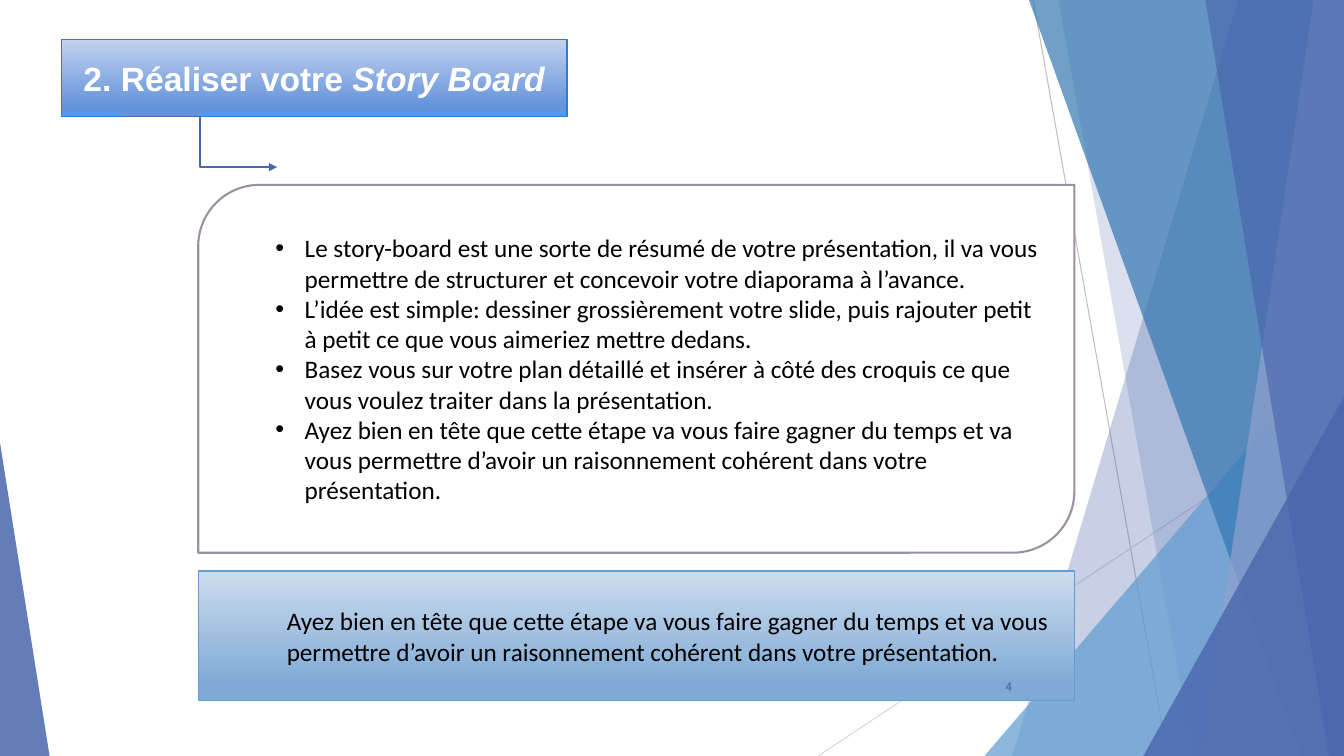
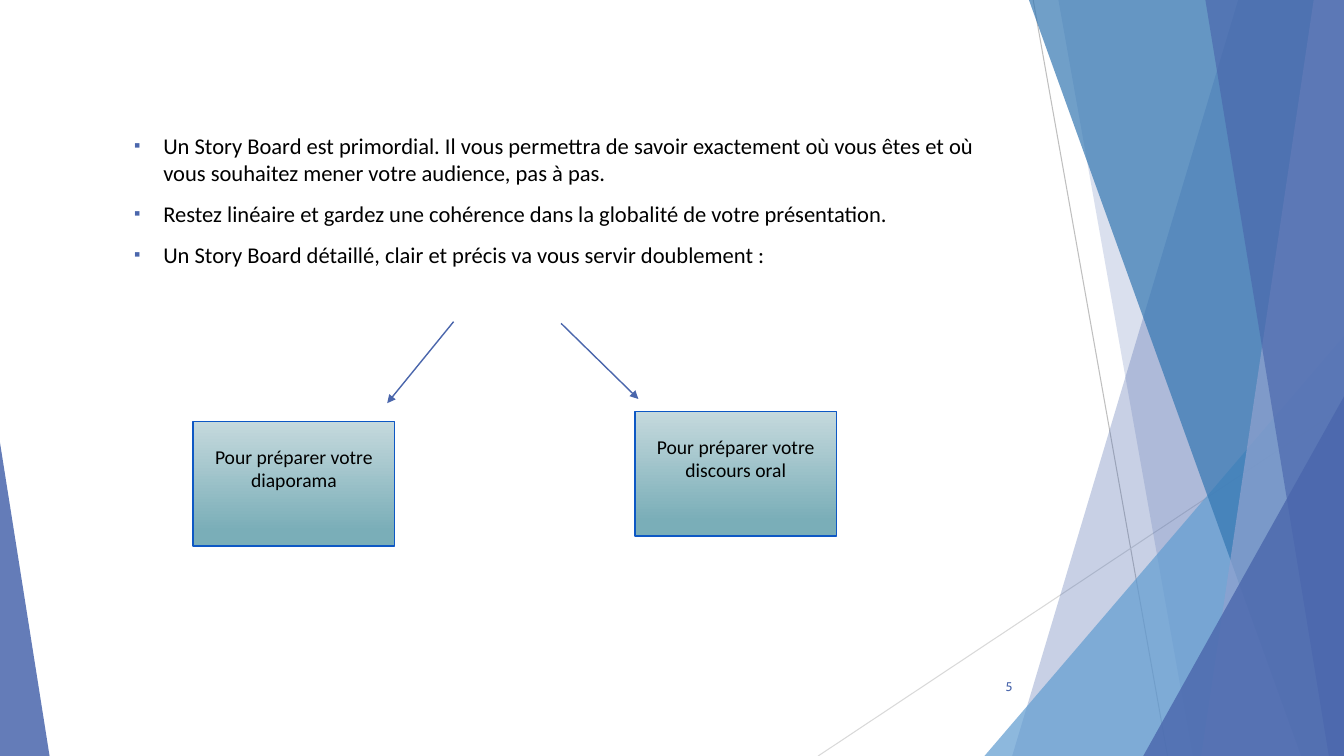
from dataclasses import dataclass
from typing import NamedTuple

import pptx
import pptx.dml.color
import pptx.dml.fill
import pptx.enum.shapes
import pptx.enum.text
import pptx.oxml.ns
import pptx.shapes.autoshape
import pptx.shapes.base
import pptx.slide
import pptx.text.text
import pptx.util
from lxml import etree

# Grid of square cells, twelve to the inch
COLUMNS, ROWS = 160, 90
CELL = pptx.util.Inches(1) // 12

COLOURS = {
    "indigo": "4A66AC", "sky": "629DD1", "azure": "3477B2", "lavender": "90A2CF",
    "grey": "BFBFBF", "pale grey": "D9D9D9", "mauve": "9D90A0",
    "white": "FFFFFF", "black": "000000",
    "title top": "C2D1EE", "title bottom": "6393DA", "title edge": "297FD5",
    "summary top": "CDDCED", "summary bottom": "7FAAD6",
    "use top": "C5D9DD", "use bottom": "7AAEB8", "use edge": "0E58C4",
}
PRESET = pptx.enum.shapes.MSO_SHAPE
CONNECTOR = pptx.enum.shapes.MSO_CONNECTOR
ALIGN = pptx.enum.text.PP_ALIGN
ANCHOR = pptx.enum.text.MSO_ANCHOR
TEXT_INDENT, BULLET_INDENT = 0.78, -0.29  # inches


class Area(NamedTuple):
    """Left, top, width and height in grid cells."""
    left: float
    top: float
    width: float
    height: float


class Point(NamedTuple):
    column: float
    row: float


@dataclass(frozen=True)
class Band:
    """Full-height band reaching the right edge; its left side may slant."""
    top_column: float
    bottom_column: float
    colour: str
    opacity: int


@dataclass(frozen=True)
class Wedge:
    """Triangle standing on the bottom edge, its peak at a share of its width."""
    left: float
    top: float
    width: float
    peak: float
    colour: str
    opacity: int


@dataclass(frozen=True)
class Stroke:
    start: Point
    end: Point
    colour: str = "indigo"
    width: float = 1
    arrow: bool = True
    kind: CONNECTOR = CONNECTOR.STRAIGHT


@dataclass(frozen=True)
class Bullet:
    symbol: str
    colour: str = "black"
    percent: int = 100


@dataclass(frozen=True)
class Use:
    """A use of the story board, with the arrow that leads to it."""
    text: str
    area: Area
    arrow: Stroke


BACKDROP = (
    Stroke(Point(123, 0), Point(139, ROWS), "grey", 0.75, False),
    Stroke(Point(COLUMNS, 48.4), Point(97.4, ROWS), "pale grey", 0.75, False),
    Band(147.4, 120.5, "indigo", 30),
    Band(126, 142, "indigo", 20),
    Wedge(117.2, 40, 42.8, 1, "sky", 72),
    Band(122.5, 154.9, "azure", 70),
    Band(156.4, 143, "lavender", 70),
    Band(143.5, 158.2, "indigo", 65),
    Wedge(136.1, 47.2, 23.9, 1, "indigo", 80),
    Wedge(0, 52.7, 5.9, 0, "indigo", 85),
)
NUMBER_AREA = Area(112.7, 79.3, 9, 4.8)

TITLE_AREA = Area(7.3, 4.7, 60.2, 9.2)
TITLE_ARROW = Stroke(Point(14.6, 13.9), Point(33, 19.9), kind=CONNECTOR.ELBOW)
ADVICE_AREA = Area(23.6, 22, 104.3, 43.8)
SUMMARY_AREA = Area(23.6, 68, 104.3, 15.4)
KEY_ADVICE = (
    "Ayez bien en tête que cette étape va vous faire gagner du temps et va vous "
    "permettre d’avoir un raisonnement cohérent dans votre présentation."
)
ADVICE = (
    "Le story-board est une sorte de résumé de votre présentation, il va vous "
    "permettre de structurer et concevoir votre diaporama à l’avance.",
    "L’idée est simple: dessiner grossièrement votre slide, puis rajouter petit "
    "à petit ce que vous aimeriez mettre dedans.",
    "Basez vous sur votre plan détaillé et insérer à côté des croquis ce que "
    "vous voulez traiter dans la présentation.",
    KEY_ADVICE,
)

REASONS_AREA = Area(8.9, 15.1, 112.8, 20.4)
REASONS = (
    "Un Story Board est primordial. Il vous permettra de savoir exactement où "
    "vous êtes et où vous souhaitez mener votre audience, pas à pas.",
    "Restez linéaire et gardez une cohérence dans la globalité de votre présentation.",
    "Un Story Board détaillé, clair et précis va vous servir doublement :",
)
USES = (
    Use("Pour préparer votre discours oral", Area(75.6, 49, 24, 14.8),
        Stroke(Point(66.8, 38.5), Point(76, 47.5))),
    Use("Pour préparer votre diaporama", Area(23, 50.2, 24, 14.8),
        Stroke(Point(54, 38.3), Point(46.1, 48))),
)


def cells(*counts: float) -> list[int]:
    return [round(count * CELL) for count in counts]


def rgb(colour: str) -> pptx.dml.color.RGBColor:
    return pptx.dml.color.RGBColor.from_string(COLOURS[colour])


def add_tag(parent: etree._Element, tag: str, **attributes: str) -> etree._Element:
    return etree.SubElement(parent, pptx.oxml.ns.qn(tag), attributes)


# Text
def set_bullet(paragraph: pptx.text.text._Paragraph, bullet: Bullet) -> None:
    properties = paragraph._p.get_or_add_pPr()
    tint = add_tag(properties, "a:buClr")
    add_tag(tint, "a:srgbClr", val=COLOURS[bullet.colour])
    add_tag(properties, "a:buSzPct", val=str(bullet.percent * 1000))
    add_tag(properties, "a:buFont", typeface="Arial")
    add_tag(properties, "a:buChar", char=bullet.symbol)


def write(shape: pptx.shapes.base.BaseShape, *paragraphs: str, italic_end: str = "",
          size: float = 18, font: str = "Calibri", colour: str = "black",
          bold: bool = False, align: ALIGN = ALIGN.LEFT, anchor: ANCHOR = ANCHOR.MIDDLE,
          space_before: float = 0, indent: float = 0, bullet: Bullet | None = None,
          bottom_margin: float = 0.05) -> None:
    frame = shape.text_frame
    frame.word_wrap = True
    frame.vertical_anchor = anchor
    frame.margin_bottom = pptx.util.Inches(bottom_margin)
    for index, text in enumerate(paragraphs):
        paragraph = frame.add_paragraph() if index else frame.paragraphs[0]
        paragraph.alignment = align
        paragraph.space_before = pptx.util.Pt(space_before)
        properties = paragraph._p.get_or_add_pPr()
        properties.set("marL", str(pptx.util.Inches(indent)))
        properties.set("indent", str(pptx.util.Inches(BULLET_INDENT if bullet else 0)))
        if bullet:
            set_bullet(paragraph, bullet)
        for part, italic in ((text, False), (italic_end, True)):
            if part:
                run = paragraph.add_run()
                run.text = part
                run.font.size = pptx.util.Pt(size)
                run.font.name = font
                run.font.bold = bold
                run.font.italic = italic
                run.font.color.rgb = rgb(colour)


# Shapes and lines
def draw_box(slide: pptx.slide.Slide, area: Area, fill: tuple[str, ...], edge: str,
             edge_width: float = 1,
             preset: PRESET = PRESET.RECTANGLE) -> pptx.shapes.autoshape.Shape:
    """One fill colour is solid, two run from top to bottom."""
    box = slide.shapes.add_shape(preset, *cells(*area))
    box.shadow.inherit = False
    if len(fill) == 1:
        box.fill.solid()
        box.fill.fore_color.rgb = rgb(fill[0])
    else:
        box.fill.gradient()
        box.fill.gradient_angle = 270
        for stop, colour, position in zip(box.fill.gradient_stops, fill, (0, 0.88)):
            stop.color.rgb = rgb(colour)
            stop.position = position
    box.line.color.rgb = rgb(edge)
    box.line.width = pptx.util.Pt(edge_width)
    return box


def draw_stroke(slide: pptx.slide.Slide, stroke: Stroke) -> None:
    connector = slide.shapes.add_connector(
        stroke.kind, *cells(*stroke.start, *stroke.end))
    connector.line.color.rgb = rgb(stroke.colour)
    connector.line.width = pptx.util.Pt(stroke.width)
    if stroke.arrow:
        add_tag(connector.line._get_or_add_ln(), "a:tailEnd", type="triangle")
    add_tag(connector._element.spPr, "a:effectLst")


def draw_facet(slide: pptx.slide.Slide, facet: Band | Wedge) -> None:
    if isinstance(facet, Band):
        outline = slide.shapes.build_freeform(*cells(facet.top_column, 0))
        corners = ((COLUMNS, 0), (COLUMNS, ROWS), (facet.bottom_column, ROWS))
        outline.add_line_segments([tuple(cells(*corner)) for corner in corners])
        pane = outline.convert_to_shape()
    else:
        area = Area(facet.left, facet.top, facet.width, ROWS - facet.top)
        pane = slide.shapes.add_shape(PRESET.ISOSCELES_TRIANGLE, *cells(*area))
        pane.adjustments[0] = facet.peak
    pane.shadow.inherit = False
    pane.fill.solid()
    pane.fill.fore_color.rgb = rgb(facet.colour)
    tint = pane._element.spPr.find(".//" + pptx.oxml.ns.qn("a:srgbClr"))
    add_tag(tint, "a:alpha", val=str(facet.opacity * 1000))
    pane.line.fill.background()


# Slides
def start_slide(deck: pptx.presentation.Presentation) -> pptx.slide.Slide:
    slide = deck.slides.add_slide(deck.slide_layouts[6])
    for part in BACKDROP:
        if isinstance(part, Stroke):
            draw_stroke(slide, part)
        else:
            draw_facet(slide, part)
    return slide


def number_slide(slide: pptx.slide.Slide, number: int) -> None:
    write(slide.shapes.add_textbox(*cells(*NUMBER_AREA)), str(number),
          size=9, font="Cabin", colour="indigo", align=ALIGN.RIGHT)


def build_method(slide: pptx.slide.Slide) -> None:
    title = draw_box(slide, TITLE_AREA, ("title top", "title bottom"), "title edge")
    write(title, "2. Réaliser votre ", italic_end="Story Board", size=24,
          font="Arial", colour="white", bold=True, align=ALIGN.CENTER)
    draw_stroke(slide, TITLE_ARROW)
    advice = draw_box(slide, ADVICE_AREA, ("white",), "mauve", 1.5,
                      PRESET.ROUND_2_DIAG_RECTANGLE)
    write(advice, *ADVICE, indent=TEXT_INDENT, bullet=Bullet("•"))
    summary = draw_box(slide, SUMMARY_AREA, ("summary top", "summary bottom"), "sky")
    write(summary, KEY_ADVICE, indent=TEXT_INDENT)


def build_benefits(slide: pptx.slide.Slide) -> None:
    write(slide.shapes.add_textbox(*cells(*REASONS_AREA)), *REASONS, size=16.1,
          anchor=ANCHOR.TOP, space_before=10, indent=TEXT_INDENT,
          bullet=Bullet("▪", "indigo", 80))
    for use in USES:
        box = draw_box(slide, use.area, ("use top", "use bottom"), "use edge")
        write(box, use.text, size=14, align=ALIGN.CENTER, bottom_margin=0.36)
        draw_stroke(slide, use.arrow)


def main() -> None:
    deck = pptx.Presentation()
    deck.slide_width, deck.slide_height = cells(COLUMNS, ROWS)
    for number, build in enumerate((build_method, build_benefits), start=4):
        slide = start_slide(deck)
        build(slide)
        number_slide(slide, number)
    deck.save("out.pptx")


if __name__ == "__main__":
    main()
